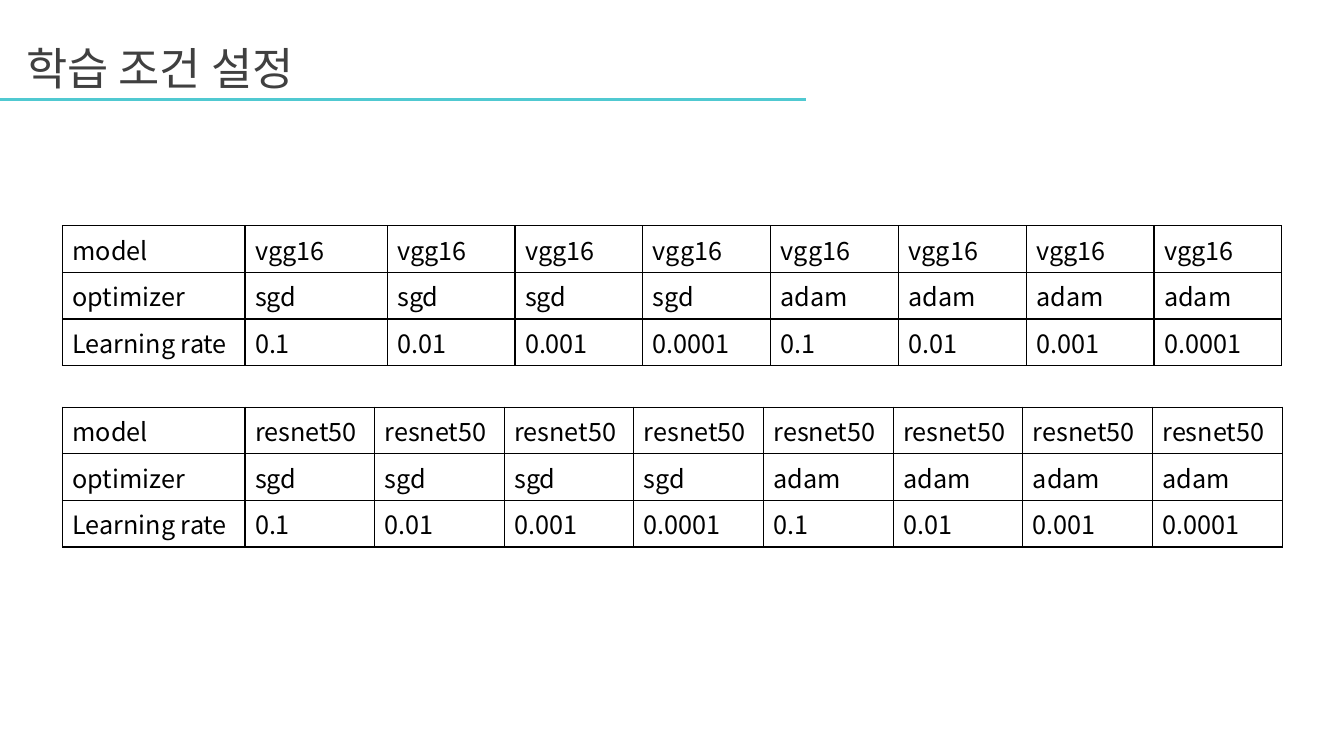
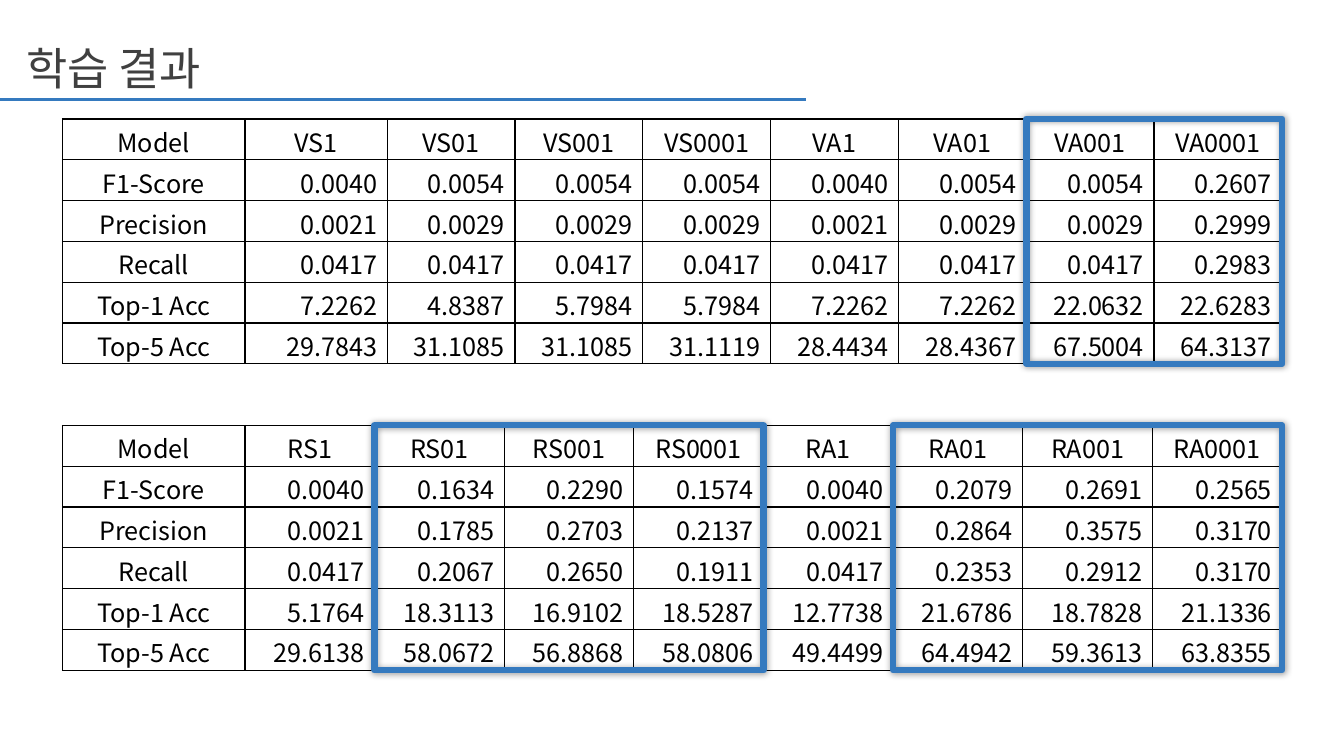
import itertools

import lxml.etree
import pptx
import pptx.dml.color
import pptx.enum.shapes
import pptx.enum.text
import pptx.oxml
import pptx.oxml.ns
import pptx.util

# Shared style
FONT = "Noto Sans CJK KR"
BLACK = pptx.dml.color.RGBColor(0x00, 0x00, 0x00)
GRAY = pptx.dml.color.RGBColor(0x40, 0x40, 0x40)
TEAL = pptx.dml.color.RGBColor(0x50, 0xC9, 0xD1)
BLUE = pptx.dml.color.RGBColor(0x35, 0x7A, 0xBF)
LEFT = pptx.enum.text.PP_ALIGN.LEFT
CENTER = pptx.enum.text.PP_ALIGN.CENTER
RIGHT = pptx.enum.text.PP_ALIGN.RIGHT
TOP = pptx.enum.text.MSO_ANCHOR.TOP
BOTTOM = pptx.enum.text.MSO_ANCHOR.BOTTOM

# Column widths, in hundredths of the slide width
TABLE_LEFT, TABLE_WIDTH, LABEL_WIDTH = 4.65, 90.75, 13.58
VGG_WIDTHS = [LABEL_WIDTH, 10.58] + [(TABLE_WIDTH - LABEL_WIDTH - 10.58) / 7] * 7
RESNET_WIDTHS = [LABEL_WIDTH] + [(TABLE_WIDTH - LABEL_WIDTH) / 8] * 8

# Training runs: every optimizer with every learning rate
RATES = ["0.1", "0.01", "0.001", "0.0001"]
RUNS = list(itertools.product(["sgd", "adam"], RATES))

VGG_RESULTS = [
    ["F1-Score", "0.0040", "0.0054", "0.0054", "0.0054", "0.0040", "0.0054", "0.0054", "0.2607"],
    ["Precision", "0.0021", "0.0029", "0.0029", "0.0029", "0.0021", "0.0029", "0.0029", "0.2999"],
    ["Recall", "0.0417", "0.0417", "0.0417", "0.0417", "0.0417", "0.0417", "0.0417", "0.2983"],
    ["Top-1 Acc", "7.2262", "4.8387", "5.7984", "5.7984", "7.2262", "7.2262", "22.0632", "22.6283"],
    ["Top-5 Acc", "29.7843", "31.1085", "31.1085", "31.1119", "28.4434", "28.4367", "67.5004", "64.3137"],
]
RESNET_RESULTS = [
    ["F1-Score", "0.0040", "0.1634", "0.2290", "0.1574", "0.0040", "0.2079", "0.2691", "0.2565"],
    ["Precision", "0.0021", "0.1785", "0.2703", "0.2137", "0.0021", "0.2864", "0.3575", "0.3170"],
    ["Recall", "0.0417", "0.2067", "0.2650", "0.1911", "0.0417", "0.2353", "0.2912", "0.3170"],
    ["Top-1 Acc", "5.1764", "18.3113", "16.9102", "18.5287", "12.7738", "21.6786", "18.7828", "21.1336"],
    ["Top-5 Acc", "29.6138", "58.0672", "56.8868", "58.0806", "49.4499", "64.4942", "59.3613", "63.8355"],
]


def condition_rows(model):
    return [
        ["model"] + [model] * len(RUNS),
        ["optimizer"] + [optimizer for optimizer, _ in RUNS],
        ["Learning rate"] + [rate for _, rate in RUNS],
    ]


def result_header(model_letter):
    return ["Model"] + [model_letter + optimizer[0].upper() + rate[2:] for optimizer, rate in RUNS]


def set_attributes(target, values):
    for name, value in values.items():
        setattr(target, name, value)


class Deck:
    """Holds the style and the current slide; lengths are in a 100 by 100 grid."""

    def __init__(self):
        self.presentation = pptx.Presentation()
        set_attributes(self.presentation, {
            "slide_width": pptx.util.Inches(13.33),
            "slide_height": pptx.util.Inches(7.5),
        })
        self.slide = None

    def columns(self, count):
        return round(self.presentation.slide_width * count / 100)

    def rows(self, count):
        return round(self.presentation.slide_height * count / 100)

    def area(self, left, top, width, height):
        return self.columns(left), self.rows(top), self.columns(width), self.rows(height)

    def add_text(self, text_frame, text, size, color, alignment):
        paragraph = text_frame.paragraphs[0]
        paragraph.alignment = alignment
        run = paragraph.add_run()
        run.text = text
        set_attributes(run.font, {"size": pptx.util.Pt(size), "name": FONT, "bold": False})
        run.font.color.rgb = color
        east_asian = lxml.etree.SubElement(
            run._r.get_or_add_rPr(), pptx.oxml.ns.qn("a:ea"))
        east_asian.set("typeface", FONT)

    def add_slide(self, title, accent):
        self.slide = self.presentation.slides.add_slide(self.presentation.slide_layouts[5])
        # Title rule
        rule = self.slide.shapes.add_connector(
            pptx.enum.shapes.MSO_CONNECTOR.STRAIGHT,
            0, self.rows(13.2), self.columns(60), self.rows(13.2))
        rule.line.color.rgb = accent
        rule.line.width = pptx.util.Pt(2.25)
        lxml.etree.SubElement(rule._element.spPr, pptx.oxml.ns.qn("a:effectLst"))
        # Title text
        shape = self.slide.shapes.title
        bounds = self.area(1.2, 4.67, 58.8, 8.53)
        set_attributes(shape, dict(zip(("left", "top", "width", "height"), bounds)))
        set_attributes(shape.text_frame, {
            "word_wrap": True,
            "auto_size": pptx.enum.text.MSO_AUTO_SIZE.NONE,
            "vertical_anchor": pptx.enum.text.MSO_ANCHOR.MIDDLE,
        })
        self.add_text(shape.text_frame, title, 32, GRAY, LEFT)

    def add_borders(self, cell):
        properties = cell._tc.get_or_add_tcPr()
        for side in ("lnL", "lnR", "lnT", "lnB"):
            properties.append(pptx.oxml.parse_xml(
                f'<a:{side} {pptx.oxml.ns.nsdecls("a")} w="{pptx.util.Pt(1)}">'
                f'<a:solidFill><a:srgbClr val="{BLACK}"/></a:solidFill></a:{side}>'))

    def add_table(self, top, widths, row_height, data, cell_format, alignment_of):
        frame = self.slide.shapes.add_table(
            len(data), len(widths),
            *self.area(TABLE_LEFT, top, sum(widths), row_height * len(data)))
        table = frame.table
        set_attributes(table, {"first_row": False, "horz_banding": False})
        for column, width in zip(table.columns, widths):
            column.width = self.columns(width)
        for row in table.rows:
            row.height = self.rows(row_height)
        for row_index, values in enumerate(data):
            for column_index, value in enumerate(values):
                cell = table.cell(row_index, column_index)
                self.add_borders(cell)
                cell.fill.background()
                set_attributes(cell, cell_format)
                self.add_text(cell.text_frame, value, 18, BLACK,
                              alignment_of(row_index, column_index))

    def add_conditions(self, top, widths, model):
        self.add_table(top, widths, 5.47, condition_rows(model),
                       {"vertical_anchor": TOP}, lambda row, column: LEFT)

    def add_results(self, top, widths, data, highlights):
        row_height = 5.4
        self.add_table(
            top, widths, row_height, data,
            {"vertical_anchor": BOTTOM, "margin_top": 0, "margin_bottom": 0},
            lambda row, column: RIGHT if row and column else CENTER)
        for first, last in highlights:
            self.add_highlight(
                TABLE_LEFT + sum(widths[:first]), top,
                sum(widths[first:last + 1]), row_height * len(data))

    def add_highlight(self, left, top, width, height):
        frame = self.slide.shapes.add_shape(
            pptx.enum.shapes.MSO_SHAPE.RECTANGLE, *self.area(left, top, width, height))
        frame.fill.background()
        frame.line.color.rgb = BLUE
        frame.line.width = pptx.util.Pt(4.5)
        # Soft glow-like shadow around the outline
        frame._element.spPr.append(pptx.oxml.parse_xml(
            f'<a:effectLst {pptx.oxml.ns.nsdecls("a")}>'
            f'<a:outerShdw blurRad="{pptx.util.Pt(5)}" dist="0" dir="0" algn="ctr" rotWithShape="0">'
            f'<a:srgbClr val="{BLACK}"><a:alpha val="40000"/></a:srgbClr>'
            '</a:outerShdw></a:effectLst>'))


def main():
    deck = Deck()

    # Training conditions
    deck.add_slide("학습 조건 설정", TEAL)
    deck.add_conditions(29.87, VGG_WIDTHS, "vgg16")
    deck.add_conditions(53.87, RESNET_WIDTHS, "resnet50")

    # Training results, with the best runs framed
    deck.add_slide("학습 결과", BLUE)
    deck.add_results(56.27, RESNET_WIDTHS, [result_header("R")] + RESNET_RESULTS, [(2, 4), (6, 8)])
    deck.add_results(15.73, VGG_WIDTHS, [result_header("V")] + VGG_RESULTS, [(7, 8)])

    deck.presentation.save("out.pptx")


if __name__ == "__main__":
    main()
